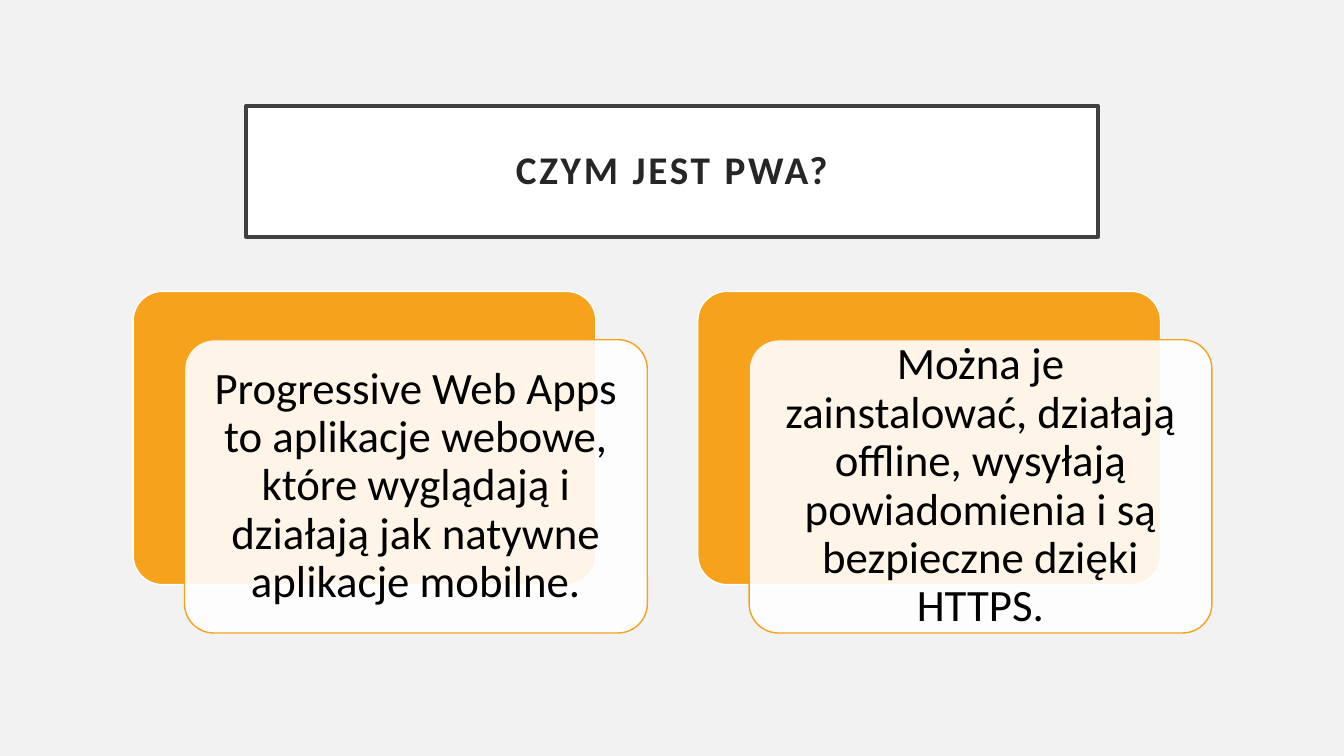
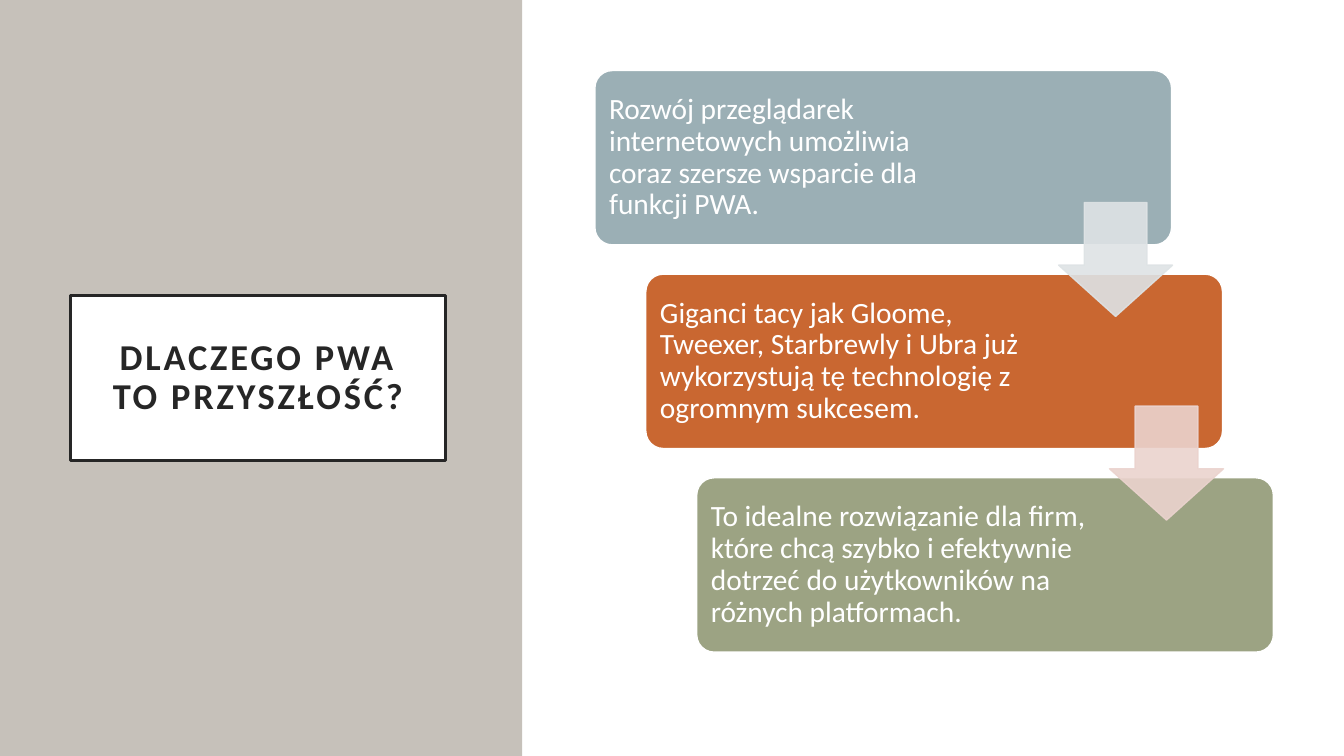
from dataclasses import dataclass

from lxml import etree
from pptx import Presentation
from pptx import util as u
from pptx.dml.color import RGBColor
from pptx.enum import shapes, text
from pptx.oxml.ns import qn


@dataclass(frozen=True)
class Theme:
    font: str = "Calibri"
    white: str = "FFFFFF"
    black: str = "000000"
    ink: str = "262626"
    frame: str = "404040"
    pale: str = "F2F2F2"
    stone: str = "C6C1BA"
    amber: str = "F6A21D"
    steps: tuple = ("9BAFB5", "C96731", "9CA383")
    arrows: tuple = ("DEE3E5", "EBD3CE")
    title_line: float = 2.5
    line: float = 1
    card_size: int = 32
    step_size: int = 21
    spacing: float = 0.9
    alpha: int = 90


T = Theme()
SHAPE = shapes.MSO_SHAPE
ALIGN = text.PP_ALIGN

CARDS = (
    "Progressive Web Apps to aplikacje webowe, które wyglądają i działają jak natywne aplikacje mobilne.",
    "Można je zainstalować, działają offline, wysyłają powiadomienia i są bezpieczne dzięki HTTPS.",
)
STEPS = (
    ("Rozwój przeglądarek internetowych umożliwia coraz szersze wsparcie dla funkcji PWA.", 1.86),
    ("Giganci tacy jak Gloome, Tweexer, Starbrewly i Ubra już "
     "wykorzystują tę technologię z ogromnym sukcesem.", 1.72),
    ("To idealne rozwiązanie dla firm, które chcą szybko i efektywnie "
     "dotrzeć do użytkowników na różnych platformach.", 1.72),
)


def set_alpha(fill_parent, percent):
    for clr in fill_parent.iterchildren(qn("a:solidFill")):
        etree.SubElement(clr[0], qn("a:alpha")).set("val", str(percent * 1000))


def paint(sp, fill, line=None, width=T.line):
    sp.fill.solid()
    sp.fill.fore_color.rgb = RGBColor.from_string(fill)
    if line:
        sp.line.color.rgb = RGBColor.from_string(line)
        sp.line.width = u.Pt(width)
    else:
        sp.line.fill.background()


def write(sp, words, size, color, align=ALIGN.CENTER, inset=0.1, right=None, bold=False, spc=0):
    tf = sp.text_frame
    tf.word_wrap = True
    tf.auto_size = text.MSO_AUTO_SIZE.NONE
    tf.vertical_anchor = text.MSO_ANCHOR.MIDDLE
    tf.margin_left = tf.margin_top = tf.margin_bottom = u.Inches(inset)
    tf.margin_right = u.Inches(inset if right is None else right)
    p = tf.paragraphs[0]
    p.alignment = align
    p.line_spacing = T.spacing
    r = p.add_run()
    r.text = words
    r.font.name = T.font
    r.font.size = u.Pt(size)
    r.font.bold = bold
    r.font.color.rgb = RGBColor.from_string(color)
    if spc:
        r.font._element.set("spc", str(spc * 100))


def add_shape(s, kind, box, fill, line=None, adj=()):
    sp = s.shapes.add_shape(kind, *map(u.Inches, box))
    sp.shadow.inherit = False
    for i, value in enumerate(adj):
        sp.adjustments[i] = value
    paint(sp, fill, line)
    return sp


def add_slide(prs, title, box, size, background, frame):
    s = prs.slides.add_slide(prs.slide_layouts.get_by_name("Title Only"))
    s.background.fill.solid()
    s.background.fill.fore_color.rgb = RGBColor.from_string(background)
    sp = s.shapes.title
    sp.left, sp.top, sp.width, sp.height = map(u.Inches, box)
    paint(sp, T.white, frame, T.title_line)
    write(sp, title, size, T.ink, inset=0.2, bold=True, spc=2)
    return s


def add_card(s, x, y, words):
    w, h = 4.59, 2.91
    add_shape(s, SHAPE.ROUNDED_RECTANGLE, (x, y, w, h), T.amber, T.white, (0.1,))
    sp = add_shape(s, SHAPE.ROUNDED_RECTANGLE, (x + 0.51, y + 0.48, w, h), T.white, T.amber, (0.1,))
    set_alpha(sp._element.spPr, T.alpha)
    write(sp, words, T.card_size, T.black, inset=0.13)


def add_step(s, x, y, words, right, fill):
    sp = add_shape(s, SHAPE.ROUNDED_RECTANGLE, (x, y, 5.72, 1.73), fill, T.white, (0.1,))
    write(sp, words, T.step_size, T.white, ALIGN.LEFT, inset=0.09, right=right)


def add_arrow(s, x, y, color):
    sp = add_shape(s, SHAPE.DOWN_ARROW, (x, y, 1.13, 1.13), color, color, (0.45, 0.55))
    sp.adjustments[0], sp.adjustments[1] = 0.55, 0.45
    set_alpha(sp._element.spPr, T.alpha)
    set_alpha(sp._element.spPr.find(qn("a:ln")), T.alpha)


def build_definition(prs):
    s = add_slide(prs, "CZYM JEST PWA?", (2.44, 1.05, 8.45, 1.3), 28, T.pale, T.frame)
    for i, words in enumerate(CARDS):
        add_card(s, 1.32 + i * 5.6, 2.89, words)


def build_future(prs):
    s = add_slide(prs, "DLACZEGO PWA TO PRZYSZŁOŚĆ?", (0.7, 2.93, 3.72, 1.64), 26, T.white, T.ink)
    panel = add_shape(s, SHAPE.RECTANGLE, (0, 0, 5.18, 7.5), T.stone)
    s.shapes.title._element.addprevious(panel._element)
    dx, dy = 0.505, 2.02
    for i, ((words, right), fill) in enumerate(zip(STEPS, T.steps)):
        add_step(s, 5.9 + i * dx, 0.7 + i * dy, words, right, fill)
    for i, color in enumerate(T.arrows):
        add_arrow(s, 10.5 + i * dx, 2.01 + i * dy, color)


def main():
    prs = Presentation()
    prs.slide_width, prs.slide_height = u.Inches(13.33), u.Inches(7.5)
    build_definition(prs)
    build_future(prs)
    prs.save("out.pptx")


if __name__ == "__main__":
    main()
